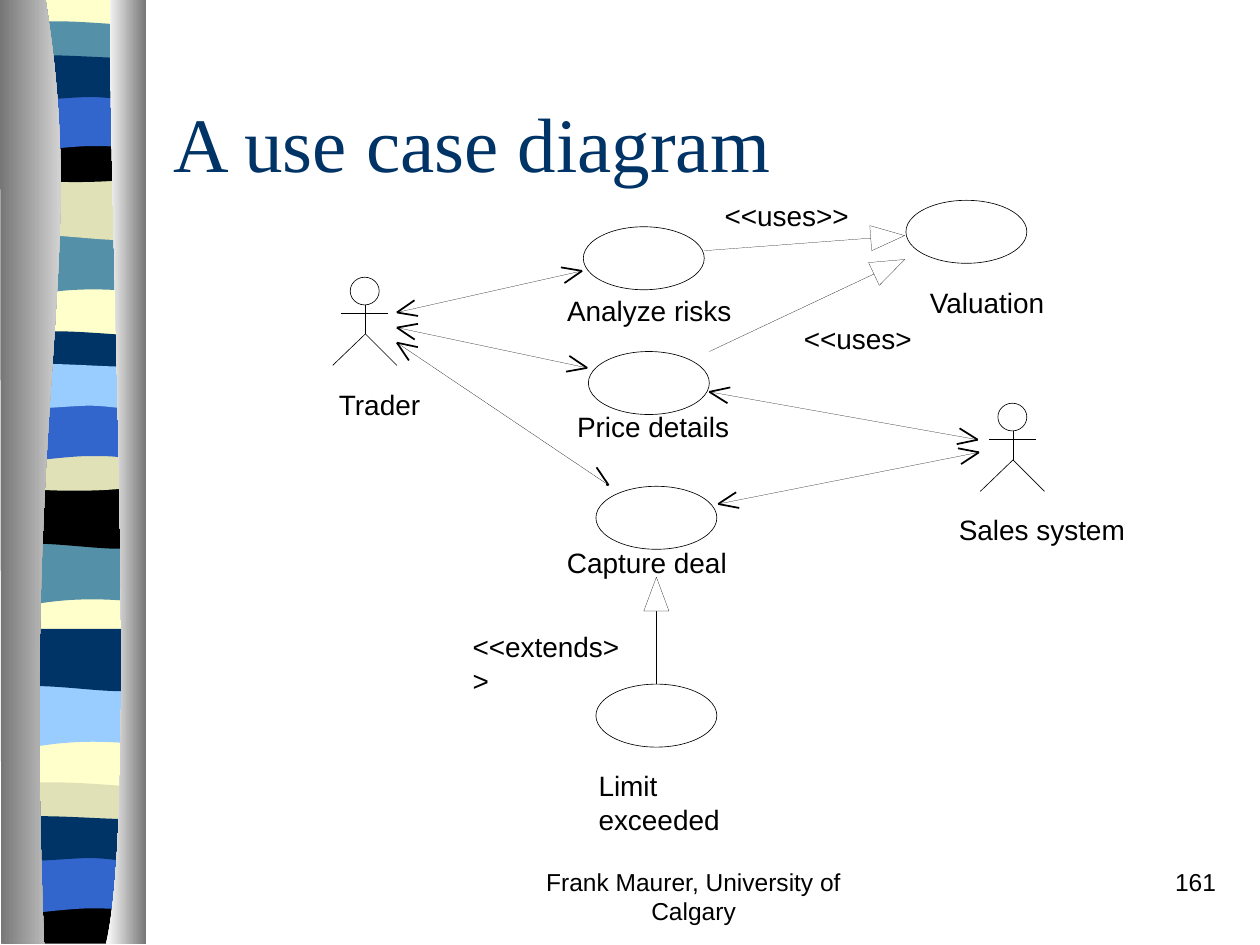
from dataclasses import dataclass
from math import atan2, cos, hypot, radians, sin

from lxml.etree import SubElement
from pptx import Presentation
from pptx.dml.color import RGBColor as Rgb
from pptx.enum.shapes import MSO_CONNECTOR as Connector
from pptx.enum.shapes import MSO_SHAPE as Preset
from pptx.enum.text import MSO_ANCHOR as Anchor
from pptx.enum.text import MSO_AUTO_SIZE as AutoSize
from pptx.enum.text import PP_ALIGN as Align
from pptx.oxml.ns import qn
from pptx.util import Inches, Pt


@dataclass(frozen=True)
class Theme:
    ink: Rgb = Rgb.from_string("000000")
    paper: Rgb = Rgb.from_string("FFFFFF")
    navy: Rgb = Rgb.from_string("003366")
    teal: Rgb = Rgb.from_string("5490A8")
    sand: Rgb = Rgb.from_string("E1E1B7")
    cream: Rgb = Rgb.from_string("FFFFCC")
    blue: Rgb = Rgb.from_string("3366CC")
    sky: Rgb = Rgb.from_string("99CCFF")
    steel: Rgb = Rgb.from_string("767676")
    title_font: str = "Times New Roman"
    body_font: str = "Arial"
    title_size: Pt = Pt(44)
    label_size: Pt = Pt(16)
    footer_size: Pt = Pt(14)
    arrowhead: Pt = Pt(1)
    outline: Pt = Pt(0.37)
    hairline: Pt = Pt(0.1)


theme = Theme()
presentation = Presentation()
presentation.slide_width = Inches(10)
presentation.slide_height = Inches(7.5)
slide = presentation.slides.add_slide(presentation.slide_layouts[5])
shapes = slide.shapes


def add_outline(steps, left=0, top=0, fill=None, line=None, close=True):
    corners = [(Inches(left + x), Inches(top + y))
               for step in steps for x, y in zip(step[::2], step[1::2])]
    builder = shapes.build_freeform(*corners[0])
    builder.add_line_segments(corners[1:], close=close)
    shape = builder.convert_to_shape()
    segments = iter(list(shape.element.iter(qn("a:lnTo"))))
    for step in steps[1:]:
        segment = next(segments)
        if len(step) == 6:
            segment.tag = qn("a:cubicBezTo")
            for extra in (next(segments), next(segments)):
                segment.append(extra[0])
                extra.getparent().remove(extra)
    shape.shadow.inherit = False
    if fill is None:
        shape.fill.background()
    else:
        shape.fill.solid()
        shape.fill.fore_color.rgb = fill
    if line is None:
        shape.line.fill.background()
    else:
        shape.line.color.rgb = theme.ink
        shape.line.width = line
    return shape


def add_line(start, end, width):
    connector = shapes.add_connector(Connector.STRAIGHT, *map(Inches, start + end))
    connector.line.color.rgb = theme.ink
    connector.line.width = width
    SubElement(connector.element.spPr, qn("a:effectLst"))
    return connector


waves = {
    "ripple": [(1.08, 0), (1.08, 0.47), (0.33, 0.39, 0.18, 0.55, 0, 0.47), (0, 0)],
    "swell": [(1.08, 0), (1.08, 0.47), (0.9, 0.55, 0.33, 0.41, 0, 0.47), (0, 0)],
    "lens": [(1.08, 0.05), (1.08, 0.29), (0.9, 0.33, 0.18, 0.33, 0, 0.29), (0, 0.05),
             (0.06, 0, 0.23, 0.01, 0.41, 0.01), (0.59, 0.01, 0.94, 0.04, 1.08, 0.05)],
    "bowl": [(1.08, 0), (1.08, 0.32), (0.9, 0.38, 0.18, 0.38, 0, 0.32), (0, 0),
             (0.66, 0.05, 0.85, 0, 1.08, 0)],
    "arch": [(1.08, 0), (1.08, 0.47), (0.91, 0.42, 0.84, 0.42, 0.66, 0.42),
             (0.48, 0.42, 0.16, 0.47, 0, 0.47), (0, 0)],
    "flag": [(1.08, 0.05), (1.08, 0.36), (1.01, 0.41, 0.84, 0.36, 0.66, 0.36),
             (0.48, 0.36, 0.11, 0.41, 0, 0.36), (0, 0.05),
             (0.15, 0, 0.73, 0.05, 0.91, 0.05), (1.09, 0.05, 1.05, 0.05, 1.08, 0.05)],
    "foot": [(1.08, 0), (1.08, 0.37), (0, 0.37), (0, 0), (0.66, 0.05, 0.85, 0, 1.08, 0)],
    "strip": [(1.08, 0), (1.08, 7.48), (0, 7.48), (0, 0)],
}
bands = [
    ("strip", 0.06, -0.01, theme.cream),
    ("ripple", 0.06, 1.85, theme.teal),
    ("swell", 0.06, 1.41, theme.sand),
    ("lens", 0.06, 0.16, theme.teal),
    ("bowl", 0.06, 1.08, theme.ink),
    ("arch", 0.06, 0.74, theme.blue),
    ("flag", 0.06, 0.41, theme.navy),
    ("ripple", 0.05, 4.31, theme.teal),
    ("swell", 0.05, 3.86, theme.ink),
    ("lens", 0.05, 2.62, theme.navy),
    ("bowl", 0.05, 3.53, theme.sand),
    ("arch", 0.05, 3.2, theme.blue),
    ("flag", 0.05, 2.86, theme.sky),
    ("ripple", 0.06, 5.44, theme.sky),
    ("swell", 0.06, 4.99, theme.navy),
    ("lens", 0.05, 6.2, theme.sand),
    ("foot", 0.05, 7.12, theme.ink),
    ("arch", 0.05, 6.79, theme.blue),
    ("flag", 0.05, 6.45, theme.navy),
]
for wave, left, top, color in bands:
    add_outline(waves[wave], left, top, color)

columns = [
    ([(0.36, -0.01), (0.71, 2.16, 0.17, 2.96, 0.35, 7.49), (0.01, 7.49), (0, -0.01)],
     (theme.steel, theme.paper)),
    ([(0.88, -0.01), (0.84, 1.25, 1.11, 6.46, 0.84, 7.49), (1.16, 7.49), (1.16, 0)],
     (theme.paper, theme.steel)),
]
for steps, colors in columns:
    column = add_outline(steps)
    column.fill.gradient()
    column.fill.gradient_angle = 0
    for stop, position, color in zip(column.fill.gradient_stops, (0, 1), colors):
        stop.position = position
        stop.color.rgb = color

title = shapes.title
title.left, title.top, title.width, title.height = map(Inches, (1.28, 0.5, 8.5, 1.25))
title.text_frame.auto_size = AutoSize.NONE
title.text_frame.vertical_anchor = Anchor.MIDDLE
paragraph = title.text_frame.paragraphs[0]
paragraph.alignment = Align.LEFT
run = paragraph.add_run()
run.text = "A use case diagram"
run.font.name, run.font.size = theme.title_font, theme.title_size
run.font.color.rgb = theme.navy

use_cases = {"Valuation": (7.19, 1.59), "Analyze risks": (4.63, 1.8),
             "Price details": (4.67, 2.79), "Capture deal": (4.73, 3.86),
             "Limit exceeded": (4.73, 5.43)}
actor_heads = [(2.78, 2.2), (7.92, 3.2)]
ovals = [(*place, 0.96, 0.5) for place in use_cases.values()]
ovals += [(*place, 0.23, 0.22) for place in actor_heads]
ellipses = []
for box in ovals:
    ellipse = shapes.add_shape(Preset.OVAL, *map(Inches, box))
    ellipse.shadow.inherit = False
    ellipse.fill.background()
    ellipse.line.color.rgb = theme.ink
    ellipse.line.width = theme.outline
    ellipses.append(ellipse)
use_case_ovals = dict(zip(use_cases, ellipses))

for left, top in actor_heads:
    add_line((left + 0.12, top + 0.22), (left + 0.12, top + 0.45), theme.outline)
    add_line((left - 0.07, top + 0.29), (left + 0.3, top + 0.29), theme.outline)
    add_outline([(-0.14, 0.7), (0.12, 0.45), (0.37, 0.7)], left, top,
                line=theme.outline, close=False)

associations = [((3.15, 2.48), (4.62, 2.15), 0.17), ((3.15, 2.6), (4.66, 2.92), 0.17),
                ((3.15, 2.72), (4.83, 3.85), 0.02), ((5.63, 3.11), (7.76, 3.49), 0.17),
                ((5.7, 4), (7.77, 3.59), 0.17)]
for start, end, last_barb in associations:
    middle = ((start[0] + end[0]) / 2, (start[1] + end[1]) / 2)
    for tip, barbs in ((start, (0.17, 0.17)), (end, (0.17, last_barb))):
        add_line(middle, tip, theme.hairline)
        heading = atan2(middle[1] - tip[1], middle[0] - tip[0])
        for barb, turn in zip(barbs, (radians(22), radians(-22))):
            barb_end = (tip[0] + barb * cos(heading + turn), tip[1] + barb * sin(heading + turn))
            add_line(tip, barb_end, theme.arrowhead)

relations = [((5.59, 1.99), (7.18, 1.87), None), ((5.63, 2.79), (7.18, 2.06), None),
             ((5.21, 5.43), (5.21, 4.58), "Limit exceeded")]
for start, tip, source in relations:
    run_x, run_y = tip[0] - start[0], tip[1] - start[1]
    length = hypot(run_x, run_y)
    x, y = run_x / length, run_y / length
    base_x, base_y = tip[0] - 0.27 * x, tip[1] - 0.27 * y
    connector = add_line(start, (base_x, base_y) if source else tip, theme.hairline)
    if source:
        connector.begin_connect(use_case_ovals[source], 0)
    add_outline([tip, (base_x - 0.1 * y, base_y + 0.1 * x), (base_x + 0.1 * y, base_y - 0.1 * x)],
                fill=theme.paper, line=theme.hairline)

labels = [("Valuation", 7.38, 2.27, 0.93), ("Limit exceeded", 4.75, 6.1, 1.49),
          ("Analyze risks", 4.5, 2.33, 1.31), ("<<uses>>", 5.75, 1.58, 0.99),
          ("Trader", 2.69, 3.08, 0.65), ("Price details", 4.58, 3.25, 1.21),
          ("<<uses>", 6.38, 2.55, 0.86), ("Capture deal", 4.5, 4.33, 1.27),
          ("<<extends>>", 3.75, 5, 1.29), ("Sales system", 7.61, 4.07, 1.32)]
texts = [(*label, 0.27, theme.label_size, Align.LEFT, False) for label in labels]
texts += [
    ("Frank Maurer, University of Calgary", 3.92, 6.83, 3.17, 0.5,
     theme.footer_size, Align.CENTER, True),
    ("161", 7.67, 6.83, 2.08, 0.5, theme.footer_size, Align.RIGHT, True),
]
for text, left, top, width, height, size, alignment, padded in texts:
    frame = shapes.add_textbox(*map(Inches, (left, top, width, height))).text_frame
    frame.word_wrap = padded
    frame.auto_size = AutoSize.NONE if padded else AutoSize.SHAPE_TO_FIT_TEXT
    frame.margin_left = frame.margin_right = Inches(0.1 if padded else 0)
    frame.margin_top = frame.margin_bottom = Inches(0.05 if padded else 0)
    paragraph = frame.paragraphs[0]
    paragraph.alignment = alignment
    run = paragraph.add_run()
    run.text = text
    run.font.name, run.font.size = theme.body_font, size
    run.font.color.rgb = theme.ink

presentation.save("out.pptx")
